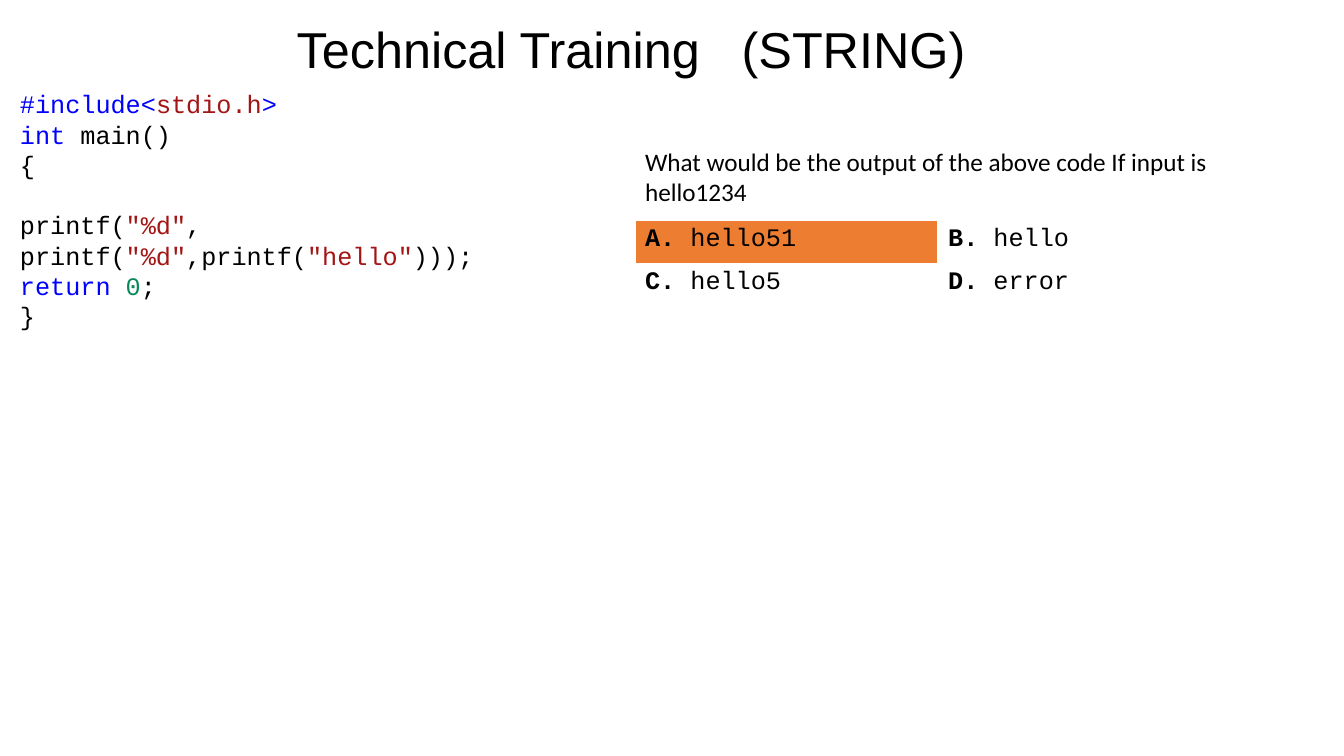
"""Build a quiz slide with a C program and its four answer options."""
from pptx import Presentation
from pptx.dml.color import RGBColor
from pptx.enum.text import PP_ALIGN as Align
from pptx.util import Pt

BLACK, BLUE, RED, GREEN, ORANGE = "000000", "0000FF", "A31515", "09885A", "ED7D31"
CODE_FONT = "Courier New"
LINE_GAP = 21.6

TITLE = "Technical Training   (STRING)"
QUESTION = "What would be the output of the above code If input is hello1234"
OPTIONS = [
    [("A.", "hello51"), ("B.", "hello")],
    [("C.", "hello5"), ("D.", "error")],
]
CORRECT = "A."
CODE = [
    (0, [("#include<", BLUE), ("stdio.h", RED), (">", BLUE)]),
    (0, [("int", BLUE), (" main()", BLACK)]),
    (0, [("{", BLACK)]),
    (LINE_GAP, [("printf(", BLACK), ('"%d"', RED), (", printf(", BLACK), ('"%d"', RED),
                (",printf(", BLACK), ('"hello"', RED), (")));", BLACK)]),
    (0, [("return ", BLUE), ("0", GREEN), (";", BLACK)]),
    (0, [("}", BLACK)]),
]
COLUMN_WIDTH = 216.6
ROW_HEIGHTS = [55.8, 31, 31]


def color(hex_value):
    return RGBColor.from_string(hex_value)


def add_text(paragraph, text, font=CODE_FONT, size=18, fill=BLACK, bold=False):
    run = paragraph.add_run()
    run.text = text
    run.font.name = font
    run.font.size = Pt(size)
    run.font.bold = bold
    run.font.color.rgb = color(fill)


def add_box(slide, left, top, width, height):
    frame = slide.shapes.add_textbox(Pt(left), Pt(top), Pt(width), Pt(height)).text_frame
    frame.word_wrap = True
    return frame


def add_code(slide):
    frame = add_box(slide, 7.2, 59.8, 456.5, 201.6)
    for index, (gap, pieces) in enumerate(CODE):
        paragraph = frame.add_paragraph() if index else frame.paragraphs[0]
        if gap:
            paragraph.space_before = Pt(gap)
        for text, fill in pieces:
            add_text(paragraph, text, fill=fill)


def add_quiz(slide):
    table = slide.shapes.add_table(
        len(ROW_HEIGHTS), 2, Pt(453.8), Pt(101.5),
        Pt(2 * COLUMN_WIDTH), Pt(sum(ROW_HEIGHTS))).table
    table.first_row = table.horz_banding = False
    for column in table.columns:
        column.width = Pt(COLUMN_WIDTH)
    for row, height in zip(table.rows, ROW_HEIGHTS):
        row.height = Pt(height)
    for cell in table.iter_cells():
        cell.fill.background()
    question = table.cell(0, 0)
    question.merge(table.cell(0, 1))
    add_text(question.text_frame.paragraphs[0], QUESTION, font="Calibri")
    for row, options in enumerate(OPTIONS, start=1):
        for column, (letter, answer) in enumerate(options):
            cell = table.cell(row, column)
            paragraph = cell.text_frame.paragraphs[0]
            add_text(paragraph, letter, bold=True)
            add_text(paragraph, f" {answer}")
            if letter == CORRECT:
                cell.fill.solid()
                cell.fill.fore_color.rgb = color(ORANGE)


def main():
    presentation = Presentation()
    presentation.slide_width, presentation.slide_height = Pt(960.5), Pt(540)
    slide = presentation.slides.add_slide(presentation.slide_layouts[6])
    add_quiz(slide)
    title = add_box(slide, 164.9, 9.4, 572.4, 50.4).paragraphs[0]
    title.alignment = Align.CENTER
    add_text(title, TITLE, font="Arial", size=36)
    add_code(slide)
    presentation.save("out.pptx")


if __name__ == "__main__":
    main()
